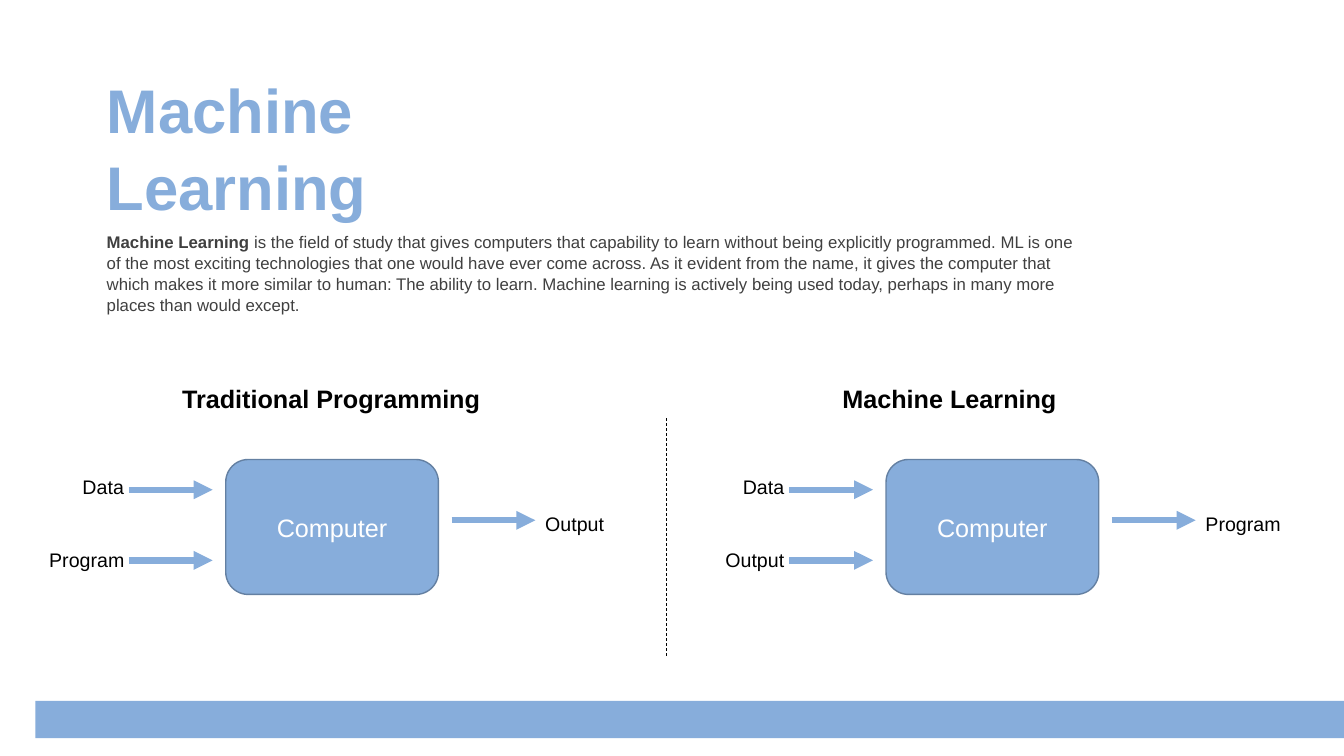
from lxml import etree
from pptx import Presentation
from pptx import util as u
from pptx.dml.color import RGBColor
from pptx.enum import dml, shapes, text
from pptx.oxml import ns

BLUE = RGBColor(0x87, 0xAD, 0xDB)
EDGE = RGBColor(0x64, 0x80, 0xA2)
GREY = RGBColor(0x40, 0x40, 0x40)
BLACK = RGBColor(0, 0, 0)
WHITE = RGBColor(0xFF, 0xFF, 0xFF)

PANEL_PITCH = 16.64
LABEL_WIDTHS = {"Data": 1.57, "Program": 2.41, "Output": 2.01}
PANELS = [
    ("Traditional Programming", 8.1, ("Data", "Program"), "Output"),
    ("Machine Learning", 5.97, ("Data", "Output"), "Program"),
]
INTRO = (
    "is the field of study that gives computers that capability to learn without being "
    "explicitly programmed. ML is one of the most exciting technologies that one would have "
    "ever come across. As it evident from the name, it gives the computer that which makes it "
    "more similar to human: The ability to learn. Machine learning is actively being used "
    "today, perhaps in many more places than would except."
)


def add_run(paragraph, words, size=14, color=BLACK, bold=False):
    run = paragraph.add_run()
    run.text = words
    run.font.name = "Arial"
    run.font.size = u.Pt(size)
    run.font.bold = bold
    run.font.color.rgb = color


class Deck:
    """Draws styled elements, measured in centimetres, on the current slide."""

    def __init__(self):
        self.presentation = Presentation()
        self.presentation.slide_width = u.Cm(33.87)
        self.presentation.slide_height = u.Cm(19.05)
        blank = self.presentation.slide_layouts[6]
        self.slide = self.presentation.slides.add_slide(blank)
        self.target = self.slide.shapes

    def text(self, box, paragraphs, wrap=False, spacing=None,
             anchor=text.MSO_ANCHOR.TOP, **style):
        frame = self.target.add_textbox(*map(u.Cm, box)).text_frame
        frame.word_wrap = wrap
        frame.auto_size = text.MSO_AUTO_SIZE.SHAPE_TO_FIT_TEXT
        frame.vertical_anchor = anchor
        for index, runs in enumerate(paragraphs):
            paragraph = frame.add_paragraph() if index else frame.paragraphs[0]
            if spacing:
                paragraph.line_spacing = spacing
            for words, extra in runs:
                add_run(paragraph, words, **{**style, **extra})

    def block(self, kind, box, edge=None, label=None):
        block = self.target.add_shape(kind, *map(u.Cm, box))
        block.shadow.inherit = False
        block.fill.solid()
        block.fill.fore_color.rgb = BLUE
        if edge is None:
            block.line.fill.background()
        else:
            block.line.color.rgb = edge
            block.line.width = u.Pt(1)
        if label:
            frame = block.text_frame
            frame.vertical_anchor = text.MSO_ANCHOR.MIDDLE
            frame.paragraphs[0].alignment = text.PP_ALIGN.CENTER
            add_run(frame.paragraphs[0], label, size=18, color=WHITE)

    def line(self, start, end, color, width, dashed=False, arrow=False):
        line = self.target.add_connector(
            shapes.MSO_CONNECTOR.STRAIGHT, *map(u.Cm, (*start, *end)))
        line.line.color.rgb = color
        line.line.width = u.Pt(width)
        if dashed:
            line.line.dash_style = dml.MSO_LINE.DASH
        properties = line._element.spPr
        if arrow:
            etree.SubElement(properties.find(ns.qn("a:ln")), ns.qn("a:tailEnd"), type="triangle")
        etree.SubElement(properties, ns.qn("a:effectLst"))

    def arrow(self, x, y):
        self.line((x, y), (x + 2.11, y), BLUE, 4.5, arrow=True)

    def label(self, words, x, y):
        self.text((x, y, LABEL_WIDTHS[words], 0.86), [[(words, {})]])

    def panel(self, x, heading, heading_width, inputs, result):
        self.target = self.slide.shapes.add_group_shape().shapes
        self.text((x + 4.34, 9.53, heading_width, 1.02), [[(heading, {})]], size=18, bold=True)
        self.block(shapes.MSO_SHAPE.ROUNDED_RECTANGLE, (x + 5.69, 11.58, 5.36, 3.4),
                   edge=EDGE, label="Computer")
        for row, words in enumerate(inputs):
            self.arrow(x + 3.25, 12.34 + 1.78 * row)
            self.label(words, x + 3.4 - LABEL_WIDTHS[words], 11.84 + 1.85 * row)
        self.arrow(x + 11.38, 13.11)
        self.label(result, x + 13.49, 12.78)
        self.target = self.slide.shapes


def main():
    deck = Deck()
    deck.block(shapes.MSO_SHAPE.RECTANGLE, (0.89, 17.66, 32.98, 0.94))
    deck.text((2.44, 5.69, 24.99, 2.31),
              [[("Machine Learning ", {"bold": True}), (INTRO, {})]],
              wrap=True, spacing=1.04, size=12, color=GREY)
    deck.text((2.44, 1.68, 11.3, 4.01), [[("Machine", {})], [("Learning", {})]],
              wrap=True, spacing=1.04, anchor=text.MSO_ANCHOR.MIDDLE,
              size=44, color=BLUE, bold=True)
    deck.line((16.79, 10.54), (16.79, 16.54), BLACK, 0.5, dashed=True)
    for index, panel in enumerate(PANELS):
        deck.panel(index * PANEL_PITCH, *panel)
    deck.presentation.save("out.pptx")


if __name__ == "__main__":
    main()
